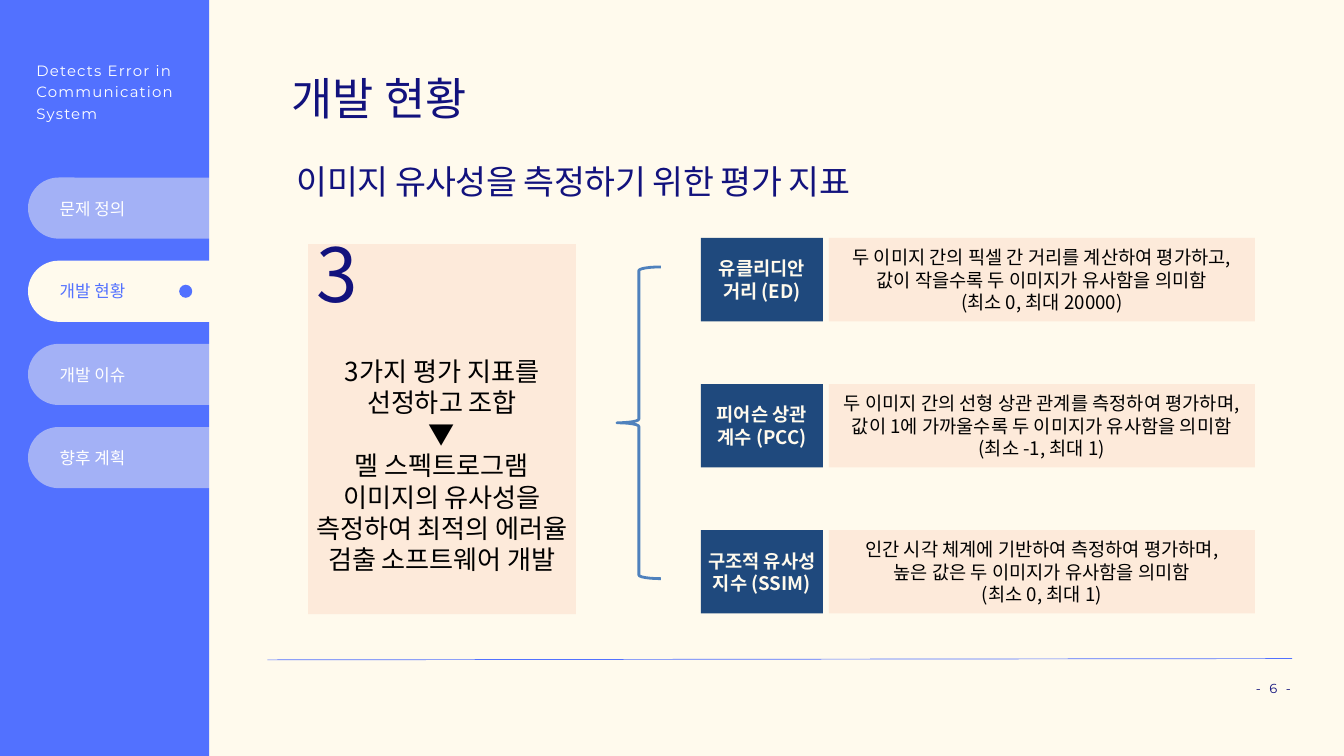
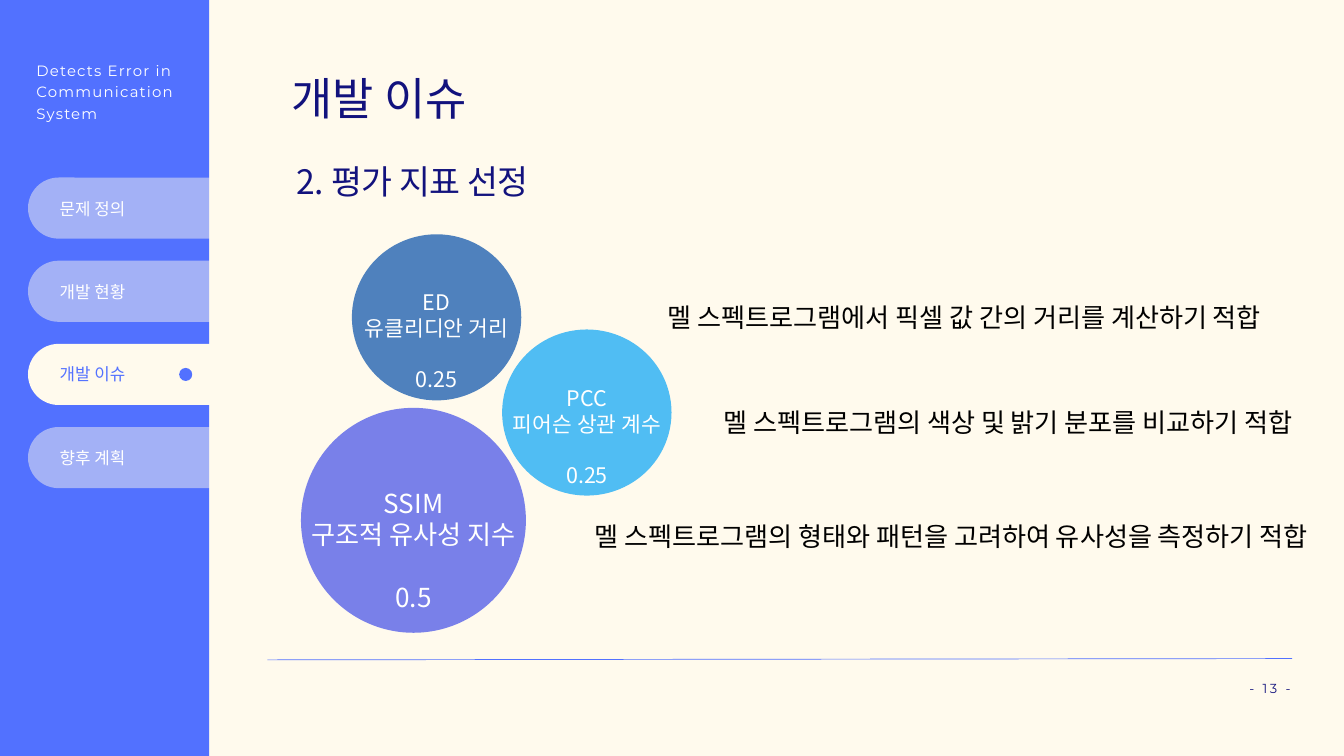
from lxml import etree
from pptx import Presentation
from pptx.dml.color import RGBColor
from pptx.enum.shapes import MSO_CONNECTOR, MSO_SHAPE
from pptx.enum.text import MSO_ANCHOR, PP_ALIGN
from pptx.oxml.ns import qn
from pptx.util import Pt

RECTANGLE, PILL, CIRCLE, BRACE = (
    MSO_SHAPE.RECTANGLE, MSO_SHAPE.ROUNDED_RECTANGLE, MSO_SHAPE.OVAL, MSO_SHAPE.LEFT_BRACE)
LEFT, CENTER, RIGHT = PP_ALIGN.LEFT, PP_ALIGN.CENTER, PP_ALIGN.RIGHT
TOP, MIDDLE = MSO_ANCHOR.TOP, MSO_ANCHOR.MIDDLE

CREAM = RGBColor(0xFF, 0xFA, 0xED)
BLUE = RGBColor(0x52, 0x71, 0xFF)
TAB_TEXT = RGBColor(0x53, 0x71, 0xFF)
NAVY = RGBColor(0x12, 0x12, 0x7D)
PEACH = RGBColor(0xFD, 0xEA, 0xDA)
LABEL_BLUE = RGBColor(0x1F, 0x49, 0x7D)
STEEL = RGBColor(0x4F, 0x81, 0xBD)
SKY = RGBColor(0x50, 0xBD, 0xF3)
VIOLET = RGBColor(0x79, 0x80, 0xE9)
WHITE = RGBColor(0xFF, 0xFF, 0xFF)
BLACK = RGBColor(0, 0, 0)

KOREAN, LATIN, HEADING = "Noto Sans CJK KR", "Montserrat", "Calibri"

PROJECT = ["Detects Error in", "Communication", "System"]
SECTIONS = ["문제 정의", "개발 현황", "개발 이슈", "향후 계획"]

STATUS = {"section": "개발 현황", "topic": "이미지 유사성을 측정하기 위한 평가 지표", "page": 6}
GOAL_COUNT = "3"
GOAL = ["3가지 평가 지표를 선정하고 조합", "▼",
        "멜 스펙트로그램 이미지의 유사성을 측정하여 최적의 에러율 검출 소프트웨어 개발"]
METRICS = [
    ("유클리디안 거리 (ED)",
     ["두 이미지 간의 픽셀 간 거리를 계산하여 평가하고,",
      "값이 작을수록 두 이미지가 유사함을 의미함", "(최소 0, 최대 20000)"]),
    ("피어슨 상관 계수 (PCC)",
     ["두 이미지 간의 선형 상관 관계를 측정하여 평가하며,",
      "값이 1에 가까울수록 두 이미지가 유사함을 의미함", "(최소 -1, 최대 1)"]),
    ("구조적 유사성 지수 (SSIM)",
     ["인간 시각 체계에 기반하여 측정하여 평가하며,",
      "높은 값은 두 이미지가 유사함을 의미함", "(최소 0, 최대 1)"]),
]

ISSUE = {"section": "개발 이슈", "topic": "2. 평가 지표 선정", "page": 13}
# name and weight, colour, text size, circle box, text box
WEIGHTS = [
    (["SSIM", "구조적 유사성 지수", "0.5"], VIOLET, 28,
     (322.5, 437, 241, 241), (322.5, 518.5, 241, 143)),
    (["ED", "유클리디안 거리", "0.25"], STEEL, 23,
     (377, 251, 181.5, 178), (382.5, 306, 170.5, 119)),
    (["PCC", "피어슨 상관 계수", "0.25"], SKY, 23,
     (538, 353, 181.5, 178), (525, 409, 208, 119)),
]
# text, left, top, width
REASONS = [
    ("멜 스펙트로그램에서 픽셀 값 간의 거리를 계산하기 적합", 708.5, 319.5, 725),
    ("멜 스펙트로그램의 색상 및 밝기 분포를 비교하기 적합", 768, 431.5, 660),
    ("멜 스펙트로그램의 형태와 패턴을 고려하여 유사성을 측정하기 적합", 630, 553.5, 787.5),
]


def points(box):
    return [Pt(value) for value in box]


def write(shape, lines, size, color, font=KOREAN, align=LEFT, anchor=TOP, bold=False,
          leading=None, tracking=0, inset=True, last_gap=0):
    """Fill a shape with paragraphs; last_gap is the space above the last one."""
    frame = shape.text_frame
    frame.word_wrap = True
    frame.vertical_anchor = anchor
    frame.margin_left = frame.margin_right = Pt(7.2 if inset else 0)
    frame.margin_top = frame.margin_bottom = Pt(3.6 if inset else 0)
    for index, line in enumerate(lines):
        paragraph = frame.paragraphs[0] if index == 0 else frame.add_paragraph()
        paragraph.alignment = align
        if leading:
            paragraph.line_spacing = Pt(leading)
        if last_gap and index == len(lines) - 1:
            paragraph.space_before = Pt(last_gap)
        run = paragraph.add_run()
        run.text = line
        run.font.name, run.font.size, run.font.bold = font, Pt(size), bold
        run.font.color.rgb = color
        properties = run.font._element
        if tracking:
            properties.set("spc", str(round(tracking * 100)))
        etree.SubElement(properties, qn("a:ea")).set("typeface", KOREAN)


def add_text(slide, box, lines, size, color, **form):
    write(slide.shapes.add_textbox(*points(box)), lines, size, color, **form)


def add_block(slide, kind, box, color, opacity=None):
    block = slide.shapes.add_shape(kind, *points(box))
    block.shadow.inherit = False
    block.fill.solid()
    block.fill.fore_color.rgb = color
    block.line.fill.background()
    if opacity:
        tint = block._element.spPr.find(".//" + qn("a:srgbClr"))
        etree.SubElement(tint, qn("a:alpha")).set("val", str(opacity * 1000))
    return block


def add_sidebar(slide, current):
    add_block(slide, RECTANGLE, (0, 0, 224, 810), BLUE)
    add_text(slide, (39, 62, 153.5, 67), PROJECT, 16, WHITE, font=LATIN,
             leading=23, tracking=1.3, inset=False)
    for index, section in enumerate(SECTIONS):
        top = 190.2 + 89.1 * index
        active = section == current
        tab = add_block(slide, PILL, (30, top, 256.5, 65.5), CREAM, None if active else 47)
        tab.adjustments[0] = 0.5
        add_text(slide, (64, top + (21.5 if active else 22.5), 183.5, 21.6), [section], 18,
                 TAB_TEXT if active else WHITE, font=HEADING, leading=21.6, inset=False)
        if active:
            add_block(slide, CIRCLE, (192, top + 25.8, 14, 14), BLUE)


def add_page(deck, section, topic, page):
    """Add a slide with the sidebar, headings, rule and page number."""
    slide = deck.slides.add_slide(deck.slide_layouts[5])
    add_sidebar(slide, section)

    title = slide.shapes.title
    title.left, title.top, title.width, title.height = points((312.5, 85, 647.5, 51))
    write(title, [section], 48, NAVY, font=HEADING, leading=48, inset=False)
    add_text(slide, (318, 181.5, 720, 34.5), [topic], 36, NAVY,
             leading=33.6, tracking=-0.5, inset=False)

    rule = slide.shapes.add_connector(
        MSO_CONNECTOR.STRAIGHT, *points((286.5, 707, 1384.5, 705.6)))
    rule.line.color.rgb = BLUE
    rule.line.width = Pt(0.75)
    etree.SubElement(rule._element.spPr, qn("a:effectLst"))
    add_text(slide, (1140.5, 728.6, 242.5, 16), [f"- {page} -"], 14, NAVY, font=LATIN,
             align=RIGHT, leading=16.8, tracking=2.7, inset=False)
    return slide


def build_status(deck):
    slide = add_page(deck, **STATUS)
    add_block(slide, RECTANGLE, (330, 261.5, 287, 396.5), PEACH)
    add_text(slide, (339, 306, 61, 47), [GOAL_COUNT], 80, NAVY,
             leading=33.6, tracking=-0.5, inset=False)
    add_text(slide, (330, 377.3, 287, 245), GOAL, 28, BLACK, align=CENTER)

    brace = slide.shapes.add_shape(BRACE, *points((661, 286, 47, 334)))
    brace.shadow.inherit = False
    brace.fill.background()
    brace.line.color.rgb = STEEL
    brace.line.width = Pt(3)

    for index, (metric, meaning) in enumerate(METRICS):
        top = 255 + 156.5 * index
        label = add_block(slide, RECTANGLE, (750.8, top, 131, 89.3), LABEL_BLUE)
        write(label, [metric], 20, CREAM, align=CENTER, anchor=MIDDLE, bold=True)
        detail = add_block(slide, RECTANGLE, (888, top, 456.5, 89.3), PEACH)
        write(detail, meaning, 20, BLACK, align=CENTER, anchor=MIDDLE)


def build_issue(deck):
    slide = add_page(deck, **ISSUE)
    for lines, color, size, circle, caption in WEIGHTS:
        add_block(slide, CIRCLE, circle, color)
        add_text(slide, caption, lines, size, WHITE, align=CENTER, last_gap=1.2 * size)
    for reason, left, top, width in REASONS:
        add_text(slide, (left, top, width, 41), [reason], 28, BLACK)


def main():
    deck = Presentation()
    deck.slide_width, deck.slide_height = Pt(1440), Pt(810)
    background = deck.slide_master.background.fill
    background.solid()
    background.fore_color.rgb = CREAM
    build_status(deck)
    build_issue(deck)
    deck.save("out.pptx")


if __name__ == "__main__":
    main()
